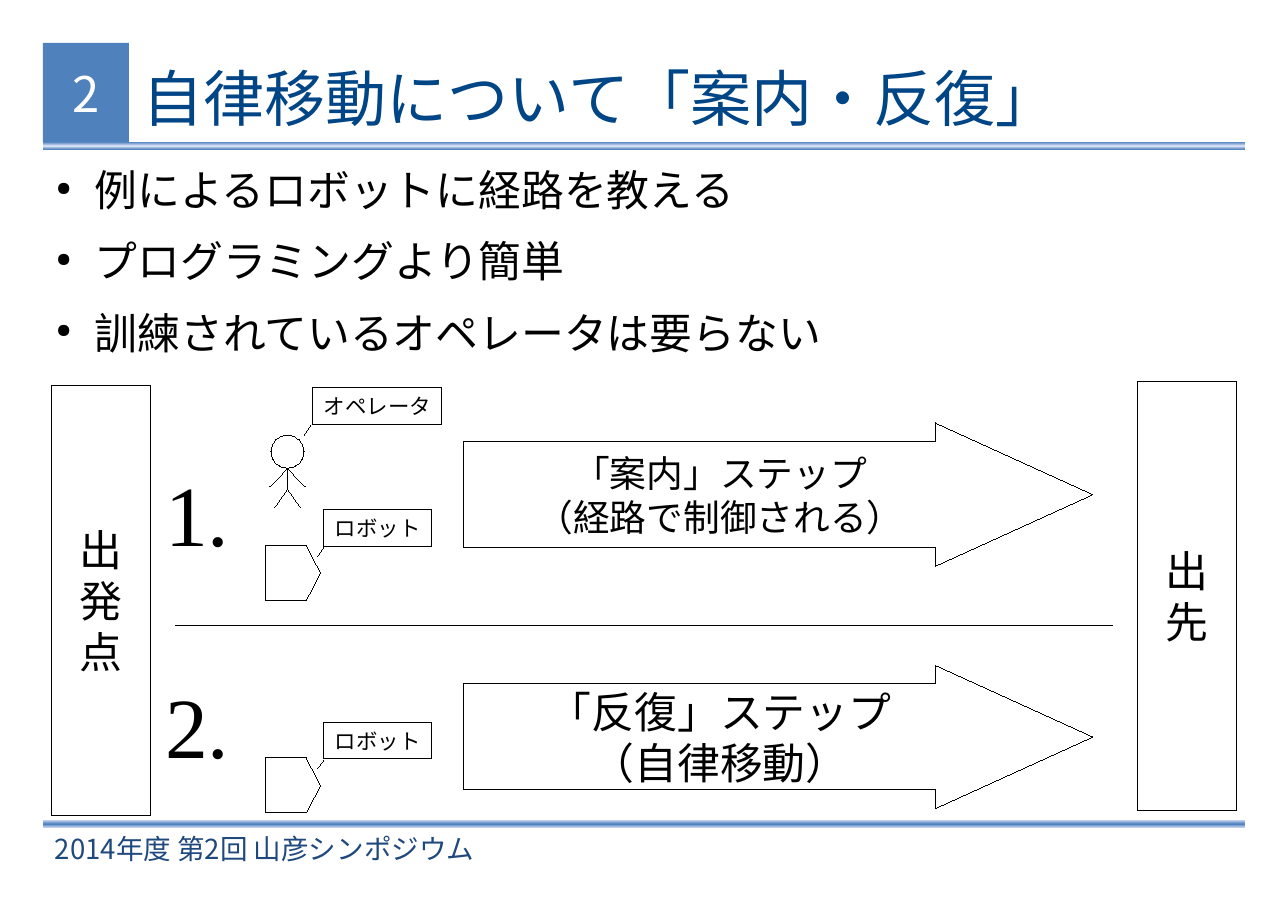
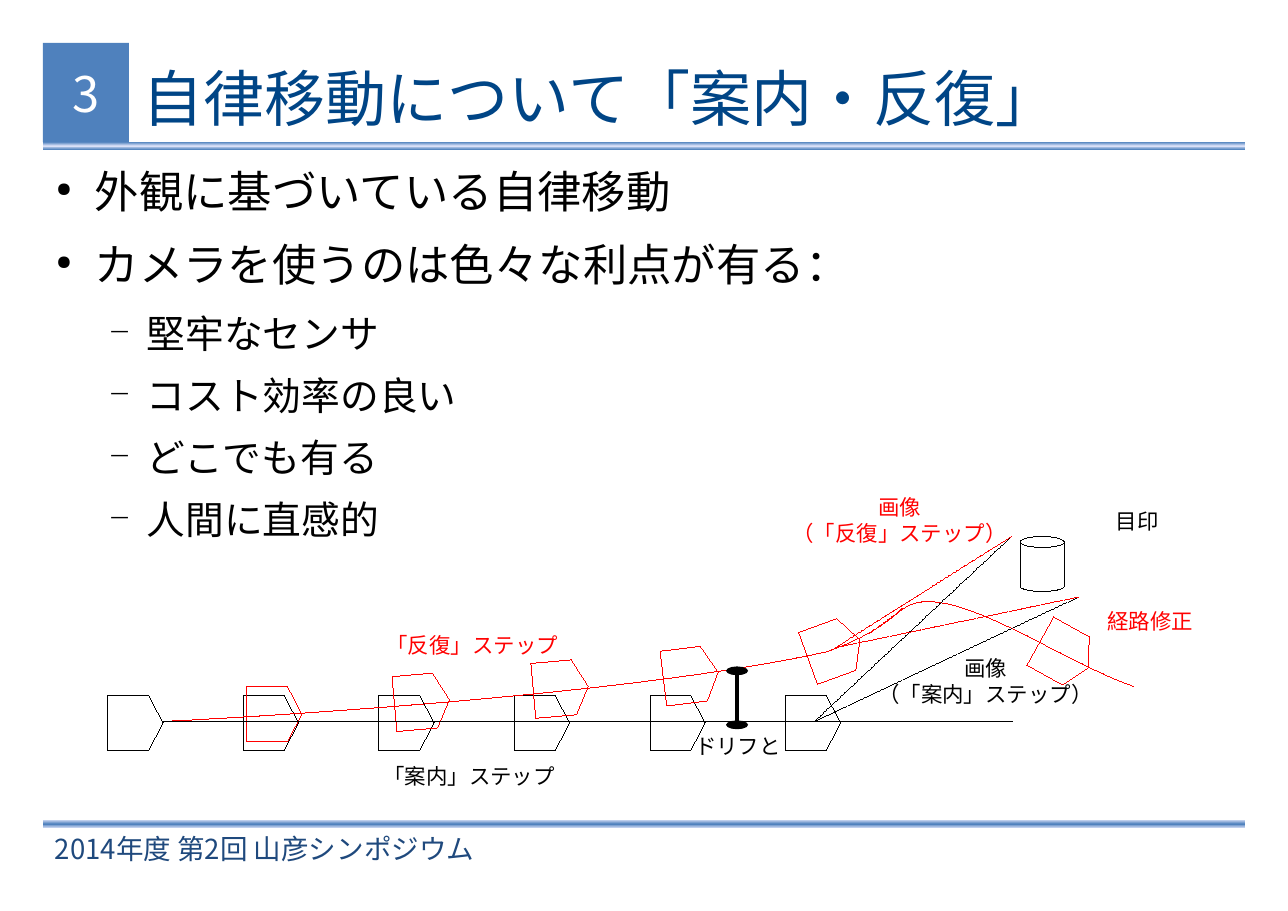
from copy import deepcopy

from lxml import etree
from pptx import Presentation
from pptx.dml.color import RGBColor
from pptx.enum.dml import MSO_LINE
from pptx.enum.shapes import MSO_CONNECTOR, MSO_SHAPE
from pptx.enum.text import MSO_ANCHOR, MSO_AUTO_SIZE, PP_ALIGN
from pptx.oxml.ns import qn
from pptx.util import Pt

PX = 9144
HAIRLINE = 1
BLACK = RGBColor(0x00, 0x00, 0x00)
WHITE = RGBColor(0xFF, 0xFF, 0xFF)
RED = RGBColor(0xFF, 0x00, 0x00)
BLUE = RGBColor(0x4F, 0x81, 0xBD)
PALE = RGBColor(0xDA, 0xE1, 0xF8)
TITLE_BLUE = RGBColor(0x00, 0x45, 0x86)
FOOTER_BLUE = RGBColor(0x1F, 0x49, 0x7D)
SANS, TITLE_FONT, SERIF = "Noto Sans CJK JP", "Arial", "Times New Roman"
LEFT, CENTER = PP_ALIGN.LEFT, PP_ALIGN.CENTER
TOP, MIDDLE = MSO_ANCHOR.TOP, MSO_ANCHOR.MIDDLE
FIT_SHAPE = MSO_AUTO_SIZE.SHAPE_TO_FIT_TEXT
RECT, ELLIPSE, CAN = MSO_SHAPE.RECTANGLE, MSO_SHAPE.OVAL, MSO_SHAPE.CAN
ARROW = MSO_SHAPE.RIGHT_ARROW
STRAIGHT = MSO_CONNECTOR.STRAIGHT
DASHED = MSO_LINE.SQUARE_DOT

TITLE = "自律移動について「案内・反復」"
FOOTER = "2014年度 第2回 山彦シンポジウム"
BULLETS = [("●", 45, 47, 12.8), ("−", 75, 94, 10.2)]
PAGES = [
    ("2", 180, [
        (0, 28, "例によるロボットに経路を教える"),
        (0, 28, "プログラミングより簡単"),
        (0, 28, "訓練されているオペレータは要らない"),
    ]),
    ("3", 595, [
        (0, 29, "外観に基づいている自律移動"),
        (0, 29, "カメラを使うのは色々な利点が有る："),
        (1, 25.3, "堅牢なセンサ"),
        (1, 25.3, "コスト効率の良い"),
        (1, 25.3, "どこでも有る"),
        (1, 25.3, "人間に直感的"),
    ]),
]


def write(tf, text, size, color, font=SERIF, align=LEFT, anchor=TOP, wrap=False, inset=None):
    tf.text = text
    tf.word_wrap = wrap
    tf.vertical_anchor = anchor
    if inset is not None:
        tf.margin_left = tf.margin_right = tf.margin_top = tf.margin_bottom = inset
    for p in tf.paragraphs:
        p.alignment = align
        for r in p.runs:
            r.font.size = Pt(size)
            r.font.name = font
            r.font.color.rgb = color
            etree.SubElement(r.font._element, qn("a:ea"), typeface=SANS)


def outline(shape, color):
    shape.shadow.inherit = False
    shape.fill.background()
    shape.line.color.rgb = color
    shape.line.width = HAIRLINE


prs = Presentation()
prs.slide_width, prs.slide_height = 1169 * PX, 827 * PX

for number, body_height, items in PAGES:
    s = prs.slides.add_slide(prs.slide_layouts[6])

    for y, h, edge, middle in [(129, 7, BLUE, PALE), (744, 8, PALE, BLUE)]:
        band = s.shapes.add_shape(RECT, 39 * PX, y * PX, 1091 * PX, h * PX)
        band.shadow.inherit = False
        band.line.fill.background()
        band.fill.gradient()
        band.fill.gradient_angle = 90
        stop_list = band._element.spPr.find(qn("a:gradFill")).find(qn("a:gsLst"))
        stop_list.append(deepcopy(stop_list[0]))
        for stop, position, color in zip(band.fill.gradient_stops, (0, 0.5, 1), (edge, middle, edge)):
            stop.position = position
            stop.color.rgb = color

    badge = s.shapes.add_shape(RECT, 39 * PX, 39 * PX, 78 * PX, 90 * PX)
    badge.shadow.inherit = False
    badge.fill.solid()
    badge.fill.fore_color.rgb = BLUE
    badge.line.fill.background()
    write(badge.text_frame, number, 32, WHITE, SANS, CENTER, MIDDLE, inset=0)

    footer = s.shapes.add_textbox(40 * PX, 752 * PX, 669 * PX, 36 * PX)
    write(footer.text_frame, FOOTER, 18, FOOTER_BLUE, SANS, anchor=MIDDLE, wrap=True)
    title = s.shapes.add_textbox(129 * PX, 41 * PX, 971 * PX, 95 * PX)
    write(title.text_frame, TITLE, 39.9, TITLE_BLUE, TITLE_FONT, anchor=MIDDLE, wrap=True, inset=0)

    body = s.shapes.add_textbox(39 * PX, 149 * PX, 1091 * PX, body_height * PX)
    write(body.text_frame, "\n".join(text for _, _, text in items), 28, BLACK, TITLE_FONT, wrap=True, inset=0)
    for p, (level, size, _) in zip(body.text_frame.paragraphs, items):
        mark, percent, margin, gap = BULLETS[level]
        p.level = level
        p.space_after = Pt(gap)
        p.runs[0].font.size = Pt(size)
        pPr = p._p.get_or_add_pPr()
        pPr.set("marL", str(margin * PX))
        pPr.set("indent", str(-35 * PX))
        etree.SubElement(pPr, qn("a:buSzPct"), val=str(percent * 1000))
        etree.SubElement(pPr, qn("a:buChar"), char=mark)

teach, drift = prs.slides

BOXES = [
    (teach, RECT, 47, 350, 90, 390, [], "出\n発\n点", 28, CENTER),
    (teach, RECT, 1032, 346, 90, 390, [], "出\n先", 28, CENTER),
    (teach, ELLIPSE, 246, 395, 30, 30, [], "", 14, CENTER),
    (teach, RECT, 284, 352, 117, 33, [], "オペレータ", 14, LEFT),
    (teach, RECT, 294, 463, 98, 33, [], "ロボット", 14, LEFT),
    (teach, RECT, 294, 656, 98, 33, [], "ロボット", 14, LEFT),
    (teach, ARROW, 421, 384, 571, 130, [0.74, 1.1], "「案内」ステップ\n（経路で制御される）", 24, CENTER),
    (teach, ARROW, 421, 604, 571, 130, [0.74, 1.1], "「反復」ステップ\n（自律移動）", 28, CENTER),
    (drift, CAN, 926, 487, 40, 50, [0.25], "", 14, CENTER),
]
for s, kind, x, y, w, h, adjustments, text, size, align in BOXES:
    box = s.shapes.add_shape(kind, x * PX, y * PX, w * PX, h * PX)
    outline(box, BLACK)
    for i, value in enumerate(adjustments):
        box.adjustments[i] = value
    if text:
        write(box.text_frame, text, size, BLACK, align=align, anchor=MIDDLE)

LABELS = [
    (teach, 140, 413, 80, 96, "1.", 56, BLACK, LEFT),
    (teach, 140, 606, 80, 96, "2.", 56, BLACK, LEFT),
    (drift, 787, 590, 215, 56, "画像\n（「案内」ステップ）", 14, BLACK, CENTER),
    (drift, 709, 444, 215, 56, "画像\n（「反復」ステップ）", 14, RED, CENTER),
    (drift, 338, 688, 176, 33, "「案内」ステップ", 14, BLACK, LEFT),
    (drift, 341, 569, 176, 33, "「反復」ステップ", 14, RED, LEFT),
    (drift, 1003, 456, 59, 33, "目印", 14, BLACK, LEFT),
    (drift, 995, 547, 98, 33, "経路修正", 14, RED, CENTER),
    (drift, 621, 661, 98, 33, "ドリフと", 14, BLACK, LEFT),
]
for s, x, y, w, h, text, size, color, align in LABELS:
    label = s.shapes.add_textbox(x * PX, y * PX, w * PX, h * PX)
    write(label.text_frame, text, size, color, align=align)
    label.text_frame.auto_size = FIT_SHAPE

ROBOT = [(0, 0), (37, 0), (50, 25), (37, 50), (0, 50)]
ROBOTS = [(teach, 241, y, 0, BLACK) for y in (495, 688)]
ROBOTS += [(drift, 98 + 123 * i, 631, 0, BLACK) for i in range(6)]
ROBOTS += [
    (drift, x, y, angle, RED)
    for x, y, angle in [
        (224, 623, 0), (358, 612, 355), (484, 600, 355),
        (602, 588, 353), (732, 564, 340), (941, 569, 29),
    ]
]
for s, x, y, angle, color in ROBOTS:
    points = [((x + dx) * PX, (y + dy) * PX) for dx, dy in ROBOT]
    builder = s.shapes.build_freeform(*points[0])
    builder.add_line_segments(points[1:], close=True)
    robot = builder.convert_to_shape()
    robot.rotation = angle
    outline(robot, color)

STEPS = 24
CURVES = [
    [
        ((148, 655), (148, 655), (550, 636), (749, 592)),
        ((749, 592), (799, 575), (819, 552), (819, 552)),
    ],
    [
        ((789, 575), (789, 575), (819, 553), (819, 553)),
        ((819, 553), (859, 523), (959, 599), (1029, 623)),
    ],
]
for beziers in CURVES:
    points = []
    for a, b, c, d in beziers:
        for i in range(STEPS + 1):
            t = i / STEPS
            weights = ((1 - t) ** 3, 3 * t * (1 - t) ** 2, 3 * t * t * (1 - t), t ** 3)
            points.append(tuple(
                round(PX * sum(k * q[axis] for k, q in zip(weights, (a, b, c, d))))
                for axis in (0, 1)
            ))
    builder = drift.shapes.build_freeform(*points[0])
    builder.add_line_segments(points[1:], close=False)
    outline(builder.convert_to_shape(), RED)

LINES = [
    (teach, 261, 444, 261, 425, BLACK, HAIRLINE, None),
    (teach, 261, 444, 273, 461, BLACK, HAIRLINE, None),
    (teach, 261, 444, 249, 461, BLACK, HAIRLINE, None),
    (teach, 261, 425, 277, 442, BLACK, HAIRLINE, None),
    (teach, 261, 425, 245, 442, BLACK, HAIRLINE, None),
    (teach, 282, 386, 276, 395, BLACK, HAIRLINE, None),
    (teach, 294, 497, 288, 505, BLACK, HAIRLINE, None),
    (teach, 294, 690, 288, 698, BLACK, HAIRLINE, None),
    (teach, 159, 568, 1010, 568, BLACK, HAIRLINE, None),
    (drift, 148, 655, 919, 655, BLACK, HAIRLINE, None),
    (drift, 739, 655, 918, 487, BLACK, HAIRLINE, DASHED),
    (drift, 739, 655, 979, 542, BLACK, HAIRLINE, DASHED),
    (drift, 758, 588, 918, 487, RED, HAIRLINE, DASHED),
    (drift, 758, 588, 979, 542, RED, HAIRLINE, DASHED),
    (drift, 669, 609, 669, 658, BLACK, 4 * PX, None),
]
for s, x1, y1, x2, y2, color, width, dash in LINES:
    line = s.shapes.add_connector(STRAIGHT, x1 * PX, y1 * PX, x2 * PX, y2 * PX)
    line.line.color.rgb = color
    line.line.width = width
    if dash:
        line.line.dash_style = dash
    if width > HAIRLINE:
        for end in ("a:headEnd", "a:tailEnd"):
            etree.SubElement(line.line._ln, qn(end), type="oval", w="lg", len="sm")
    etree.SubElement(line._element.spPr, qn("a:effectLst"))

prs.save("out.pptx")
